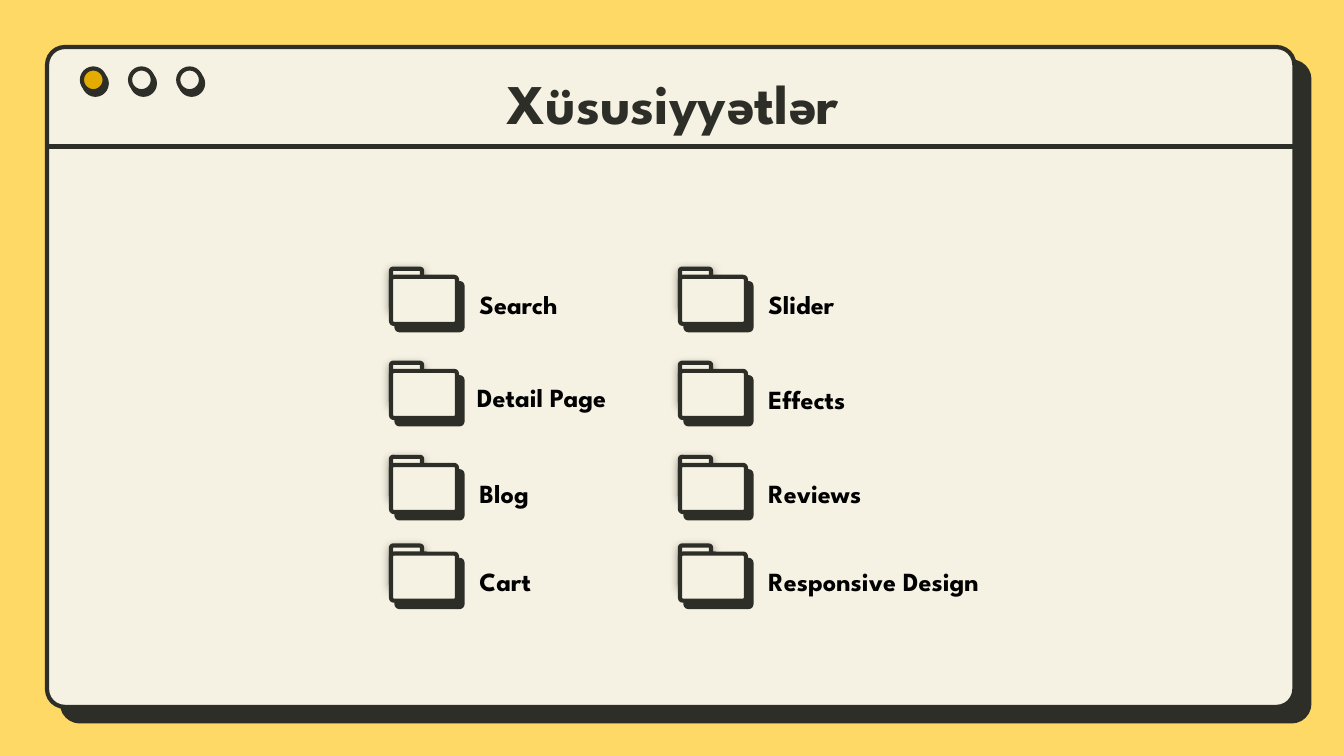
from dataclasses import dataclass

from lxml import etree
from pptx import Presentation
from pptx.dml.color import RGBColor
from pptx.enum import shapes as sh, text as tx
from pptx.oxml import ns
from pptx.util import Pt


@dataclass(frozen=True)
class Theme:
    back: str = "FFD966"
    paper: str = "F6F2E3"
    ink: str = "2D2E27"
    gold: str = "E4AB00"
    black: str = "000000"
    font: str = "League Spartan"
    head: int = 30
    label: int = 14
    line: float = 2.25


T = Theme()

COLS = (209.5, 364.3)
ROWS = (144, 194.4, 244.8, 292.3)
# Per column: name, box width, nudge from the usual label place
ITEMS = (
    (("Search", 60.5, 0, 0), ("Detail Page", 90.7, -1.4, -0.7),
     ("Blog", 45.4, 0, 0), ("Cart", 43.2, 0, 0)),
    (("Slider", 53.3, 0, 0), ("Effects", 62.6, 0, 0),
     ("Reviews", 69.8, 0, 0), ("Responsive Design", 140.4, 0, 0)),
)


def rgb(code):
    return RGBColor.from_string(code)


def shade(shape, alpha, blur, dist, angle):
    """Give the shape an outer shadow in ink."""
    shape.shadow.inherit = False
    effects = shape._element.spPr.find(ns.qn("a:effectLst"))
    outer = etree.SubElement(
        effects, ns.qn("a:outerShdw"), blurRad=str(int(Pt(blur))),
        dist=str(int(Pt(dist))), dir=str(angle * 60000),
        algn="bl", rotWithShape="0")
    color = etree.SubElement(outer, ns.qn("a:srgbClr"), val=T.ink)
    etree.SubElement(color, ns.qn("a:alpha"), val=str(alpha * 1000))


def add_form(slide, kind, box, shadow, fill=T.paper, round=None):
    form = slide.shapes.add_shape(kind, *map(Pt, box))
    form.fill.solid()
    form.fill.fore_color.rgb = rgb(fill)
    form.line.color.rgb = rgb(T.ink)
    form.line.width = Pt(T.line)
    if round is not None:
        form.adjustments[0] = round
    shade(form, *shadow)


def add_text(slide, box, words, size, color):
    frame = slide.shapes.add_textbox(*map(Pt, box)).text_frame
    par = frame.paragraphs[0]
    par.text = words
    font = par.font
    font.name, font.size, font.bold = T.font, Pt(size), True
    font.color.rgb = rgb(color)
    return frame


def add_rule(slide, left, right, y):
    rule = slide.shapes.add_connector(
        sh.MSO_CONNECTOR.STRAIGHT, Pt(left), Pt(y), Pt(right), Pt(y))
    rule.line.color.rgb = rgb(T.ink)
    rule.line.width = Pt(T.line)
    etree.SubElement(rule._element.spPr, ns.qn("a:effectLst"))


def add_window(slide):
    add_form(slide, sh.MSO_SHAPE.ROUNDED_RECTANGLE,
             (25.2, 25.2, 668.2, 353.5), (100, 0, 11.2, 44), round=0.027)
    add_rule(slide, 25.9, 694, 78.5)
    for i, fill in enumerate((T.gold, T.paper, T.paper)):
        add_form(slide, sh.MSO_SHAPE.OVAL,
                 (43.9 + 25.8 * i, 36.7, 12.2, 12.2), (100, 0, 2.2, 60), fill)


def add_title(slide, words):
    frame = add_text(slide, (56.9, 41.8, 607, 38.2), words, T.head, T.ink)
    frame.word_wrap = True
    frame.vertical_anchor = tx.MSO_ANCHOR.BOTTOM
    frame.margin_top = frame.margin_bottom = Pt(7.2)
    frame.paragraphs[0].alignment = tx.PP_ALIGN.CENTER


def add_folder(slide, x, y):
    kind = sh.MSO_SHAPE.ROUNDED_RECTANGLE
    add_form(slide, kind, (x, y, 16.6, 21.6), (50, 4.5, 1.5, 90), round=0.063)
    add_form(slide, kind, (x, y + 4.3, 35.3, 25.2), (100, 0, 4.5, 49),
             round=0.058)


def add_label(slide, x, y, width, words):
    frame = add_text(slide, (x, y, width, 25.2), words, T.label, T.black)
    frame.word_wrap = False
    frame.auto_size = tx.MSO_AUTO_SIZE.SHAPE_TO_FIT_TEXT


def main():
    deck = Presentation()
    deck.slide_width, deck.slide_height = Pt(720), Pt(405)
    slide = deck.slides.add_slide(deck.slide_layouts[6])
    slide.background.fill.solid()
    slide.background.fill.fore_color.rgb = rgb(T.back)

    # Window frame and heading
    add_window(slide)
    add_title(slide, "Xüsusiyyətlər")

    # Feature folders, column by column
    for x, names in zip(COLS, ITEMS):
        for y, (words, width, dx, dy) in zip(ROWS, names):
            add_folder(slide, x, y)
            add_label(slide, x + 40.3 + dx, y + 7.2 + dy, width, words)

    deck.save("out.pptx")


if __name__ == "__main__":
    main()
